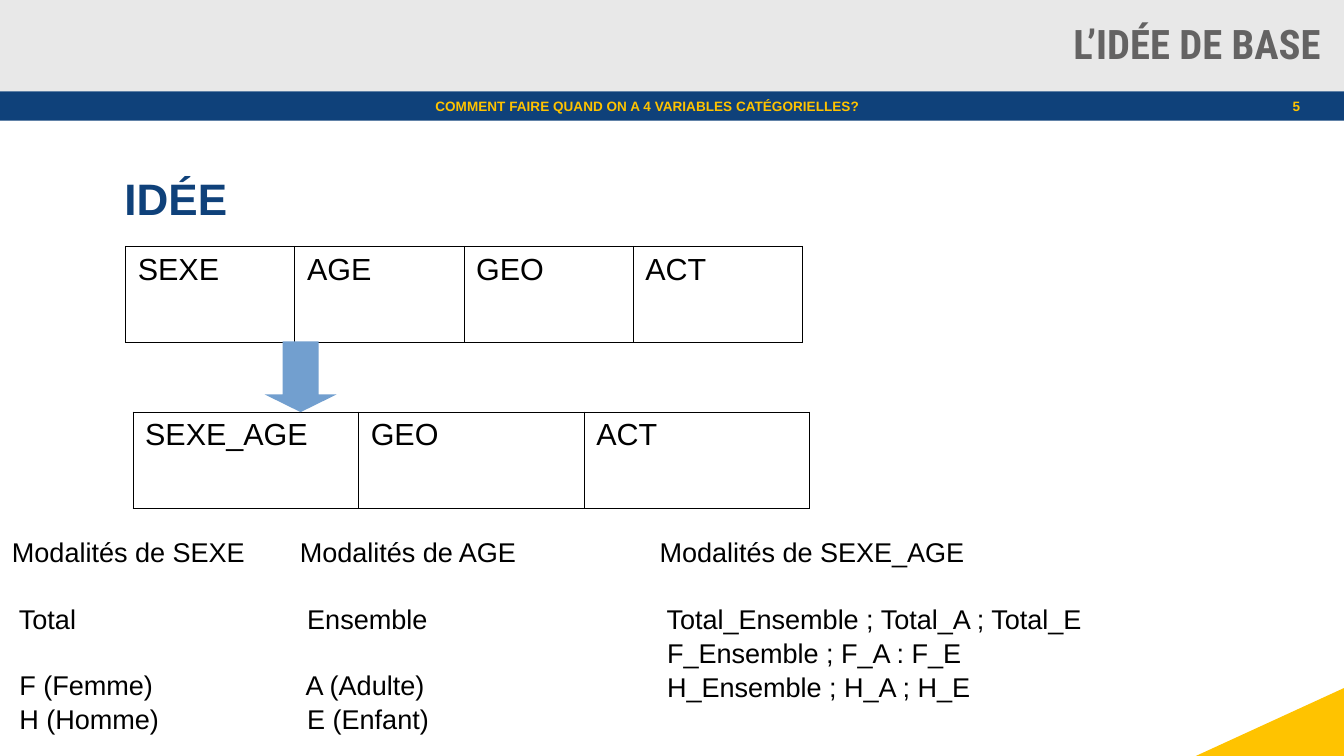
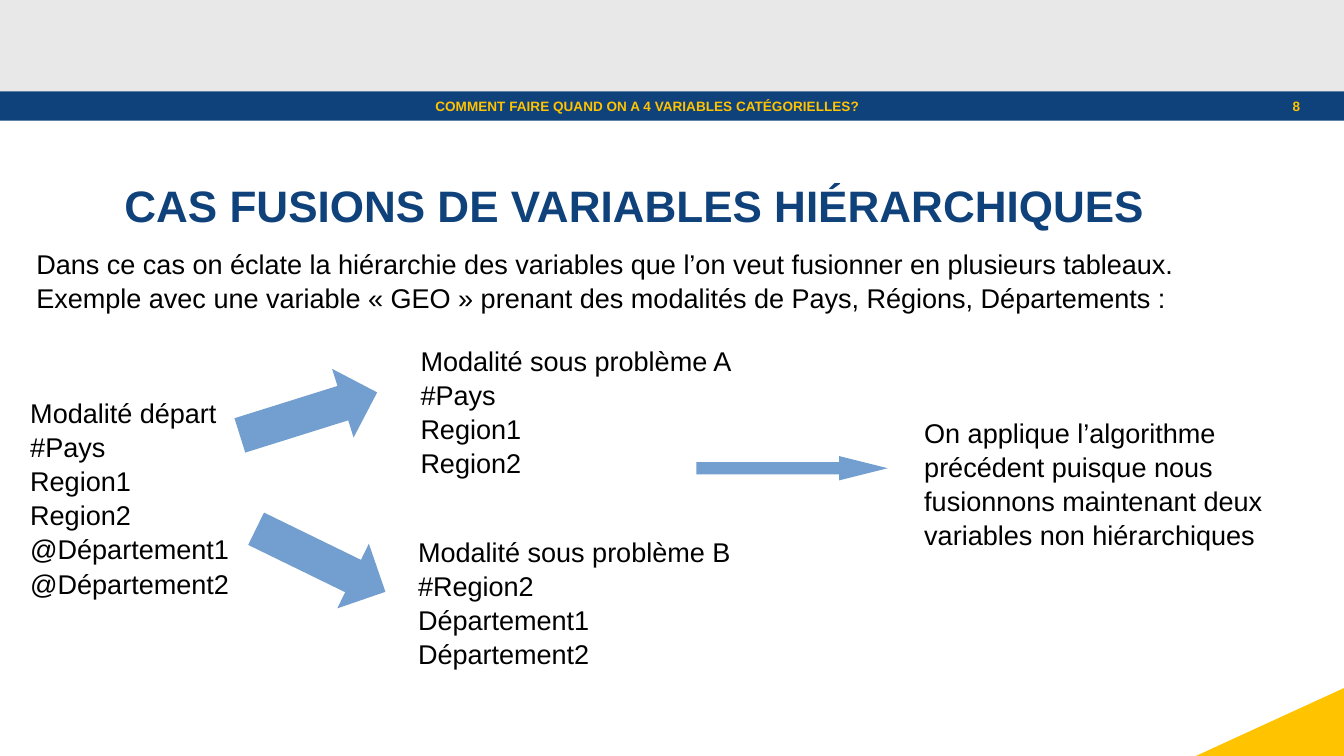
from pptx import Presentation
from pptx.dml.color import RGBColor
from pptx.enum.shapes import MSO_SHAPE as Preset
from pptx.enum.text import MSO_ANCHOR as Anchor, PP_ALIGN as Align
from pptx.oxml import parse_xml
from pptx.oxml.ns import nsdecls
from pptx.util import Inches, Pt

COLORS = {
    "band": "E8E8E8", "navy": "0F417A", "yellow": "FFC300",
    "title": "646363", "text": "000000", "arrow": "729FCF",
}
WIDTH, HEIGHT = 11.02, 6.2
BAND_HEIGHT, STRIP_HEIGHT = 0.75, 0.24
FOOTER = "COMMENT FAIRE QUAND ON A 4 VARIABLES CATÉGORIELLES?"
BLANK_LINE = 19.2


def color(name):
    return RGBColor.from_string(COLORS[name])


def inches(*lengths):
    return [Inches(length) for length in lengths]


def style(para, size, tone="text", bold=False, font="Arial"):
    for span in para.runs:
        span.font.name = font
        span.font.size = Pt(size)
        span.font.bold = bold
        span.font.color.rgb = color(tone)


def add_filled(page, preset, place, fill, rotation=0, adjustments=()):
    shape = page.shapes.add_shape(preset, *inches(*place))
    shape.shadow.inherit = False
    shape.fill.solid()
    shape.fill.fore_color.rgb = color(fill)
    shape.line.fill.background()
    shape.rotation = rotation
    for index, value in enumerate(adjustments):
        shape.adjustments[index] = value


def add_frame(page, place, margins=(0, 0), anchor=Anchor.TOP):
    frame = page.shapes.add_textbox(*inches(*place)).text_frame
    frame.word_wrap = True
    frame.margin_left = frame.margin_right = Inches(margins[0])
    frame.margin_top = frame.margin_bottom = Inches(margins[1])
    frame.vertical_anchor = anchor
    return frame


def add_label(page, place, text, size, tone, align, font="Arial"):
    """Bold single line, centred vertically in its band."""
    para = add_frame(page, place, anchor=Anchor.MIDDLE).paragraphs[0]
    para.text = text
    para.alignment = align
    style(para, size, tone, True, font)


def add_heading(page, top, text):
    para = add_frame(page, (1.02, top, 9.45, 0.45)).paragraphs[0]
    para.text = text
    style(para, 26, "navy", True)


def add_lines(page, place, lines, spaced=()):
    """Body text; the lines whose index is in spaced get a line of space above."""
    frame = add_frame(page, place, (0.1, 0.05))
    frame.text = "\n".join(lines)
    for index, para in enumerate(frame.paragraphs):
        para.line_spacing = 1.05
        if index in spaced:
            para.space_before = Pt(BLANK_LINE)
        style(para, 16)


def add_borders(cell):
    properties = cell._tc.get_or_add_tcPr()
    for position, side in enumerate(("lnL", "lnR", "lnT", "lnB")):
        properties.insert(position, parse_xml(
            f'<a:{side} {nsdecls("a")} w="{Pt(0.57)}"><a:solidFill>'
            f'<a:srgbClr val="{COLORS["text"]}"/></a:solidFill></a:{side}>'))


def add_variable_row(page, left, top, names):
    table = page.shapes.add_table(
        1, len(names), *inches(left, top, 5.55, 0.79)).table
    table.first_row = table.horz_banding = False
    for cell, name in zip(table.rows[0].cells, names):
        cell.text_frame.text = name
        style(cell.text_frame.paragraphs[0], 18)
        cell.fill.background()
        add_borders(cell)


def add_page(deck, number, title=""):
    page = deck.slides.add_slide(deck.slide_layouts[6])
    strip = (BAND_HEIGHT, STRIP_HEIGHT)
    add_filled(page, Preset.RECTANGLE, (0, 0, WIDTH, BAND_HEIGHT), "band")
    add_filled(page, Preset.RECTANGLE,
               (0, strip[0], WIDTH, strip[1]), "navy")
    add_filled(page, Preset.RIGHT_TRIANGLE,
               (10.13, 5.31, 0.57, 1.22), "yellow", 270.4)
    if title:
        add_label(page, (1.77, 0, 9.06, 0.71), title, 24, "title",
                  Align.RIGHT, "Roboto Condensed")
    for left, width, text in ((0.39, 9.84, FOOTER), (10.24, 0.78, str(number))):
        add_label(page, (left, strip[0], width, strip[1]), text, 8,
                  "yellow", Align.CENTER)
    return page


def build_idea(deck):
    page = add_page(deck, 5, "L’IDÉE DE BASE")
    add_heading(page, 1.41, "IDÉE")
    add_variable_row(page, 1.03, 2.02, ("SEXE", "AGE", "GEO", "ACT"))
    add_variable_row(page, 1.09, 3.38, ("SEXE_AGE", "GEO", "ACT"))
    add_filled(page, Preset.DOWN_ARROW, (2.17, 2.8, 0.59, 0.58), "arrow",
               adjustments=(0.5, 0.25))
    categories = (
        (0, 2.17, (1, 2),
         ("Modalités de SEXE", " Total", " F (Femme)", " H (Homme)")),
        (2.36, 2.17, (1, 2),
         ("Modalités de AGE", " Ensemble", " A (Adulte)", " E (Enfant)")),
        (5.31, 3.94, (1,),
         ("Modalités de SEXE_AGE", " Total_Ensemble ; Total_A ; Total_E",
          " F_Ensemble ; F_A : F_E", " H_Ensemble ; H_A ; H_E")),
    )
    for left, width, spaced, lines in categories:
        add_lines(page, (left, 4.33, width, 1.77), lines, spaced)


def build_hierarchy(deck):
    page = add_page(deck, 8)
    add_heading(page, 1.46, "CAS FUSIONS DE VARIABLES HIÉRARCHIQUES")
    add_lines(page, (0.2, 1.97, 10.24, 0.7), (
        "Dans ce cas on éclate la hiérarchie des variables que l’on veut "
        "fusionner en plusieurs tableaux.",
        "Exemple avec une variable « GEO » prenant des modalités de Pays, "
        "Régions, Départements :"))
    add_lines(page, (0.15, 3.19, 3.17, 1.58), (
        "Modalité départ", "#Pays", "Region1", "Region2",
        "@Département1", "@Département2"))
    add_lines(page, (3.35, 2.76, 3.17, 1.33), (
        "Modalité sous problème A", "#Pays", "Region1", "Region2"))
    add_lines(page, (3.33, 4.33, 2.97, 1.33), (
        "Modalité sous problème B", "#Region2", "Département1",
        "Département2"))
    arrows = (
        ((1.94, 3.1, 1.18, 0.59), 342.6, 0.5),
        ((2.04, 4.3, 1.18, 0.59), 26, 0.5),
        ((5.71, 3.74, 1.57, 0.2), 0, 2),
    )
    for place, rotation, head in arrows:
        add_filled(page, Preset.RIGHT_ARROW, place, "arrow", rotation,
                   (0.5, head))
    add_lines(page, (7.48, 3.35, 3.35, 1.57), (
        "On applique l’algorithme précédent puisque nous fusionnons "
        "maintenant deux variables non hiérarchiques",))


def main():
    deck = Presentation()
    deck.slide_width, deck.slide_height = inches(WIDTH, HEIGHT)
    build_idea(deck)
    build_hierarchy(deck)
    deck.save("out.pptx")


if __name__ == "__main__":
    main()
